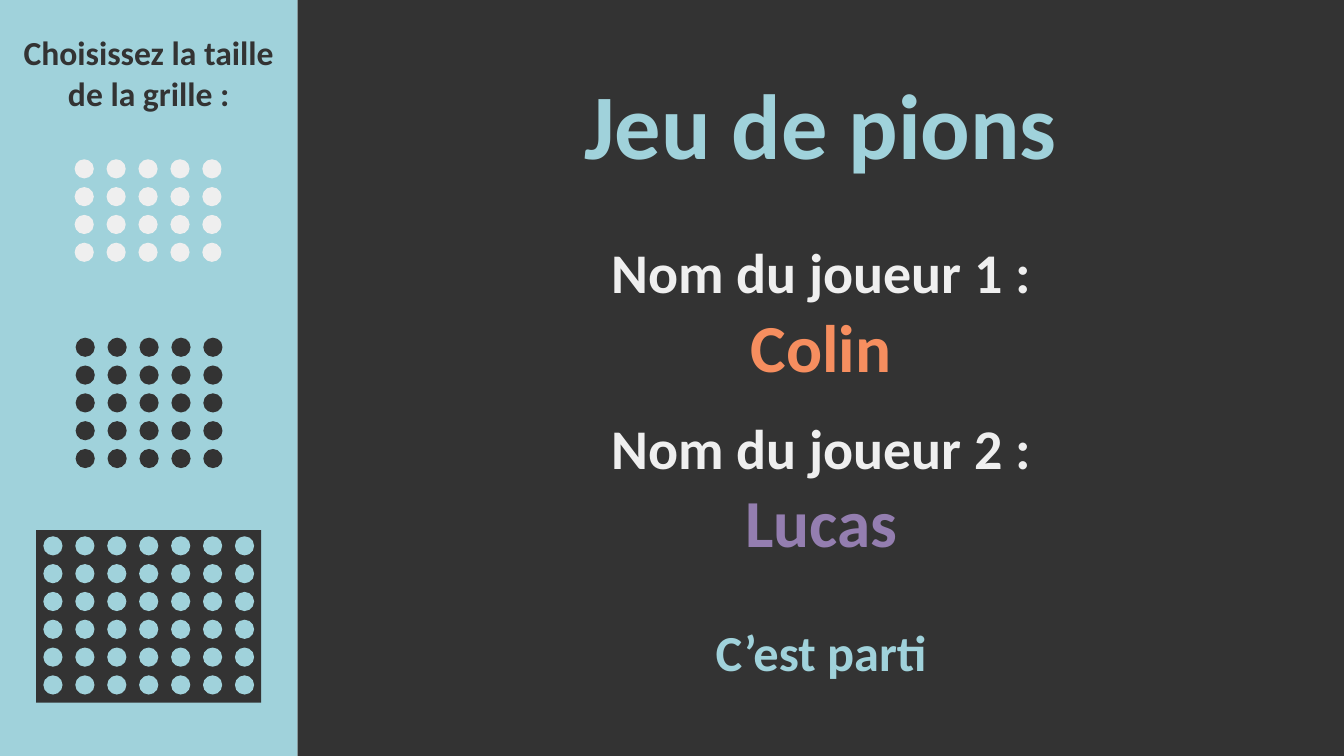
"""Build the start screen of a four-in-a-row game."""
import dataclasses

import pptx
import pptx.dml.color
import pptx.enum.shapes
import pptx.enum.text
import pptx.util

Inches = pptx.util.Inches
Kind = pptx.enum.shapes.MSO_SHAPE


@dataclasses.dataclass(frozen=True)
class Theme:
    """Colours, font and type sizes."""
    dark: str = "333333"
    sky: str = "A0D2DB"
    pale: str = "EFEFEF"
    coral: str = "F68E5F"
    plum: str = "947EB0"
    font: str = "Calibri"
    title: int = 66
    name: int = 48
    label: int = 40
    start: int = 36
    hint: int = 24


class Screen:
    """Draws styled elements on one slide."""

    dot = 0.19
    step_x = 1.9 / 6
    step_y = 1.38 / 5

    def __init__(self, slide, theme):
        """Keep the slide and its theme."""
        self.slide = slide
        self.theme = theme

    def shape(self, kind, box, fill, group=None):
        """Add a flat filled shape to the slide or a group."""
        shapes = (group or self.slide).shapes
        item = shapes.add_shape(kind, *map(Inches, box))
        item.shadow.inherit = False
        item.fill.solid()
        item.fill.fore_color.rgb = pptx.dml.color.RGBColor.from_string(fill)
        item.line.fill.background()

    def text(self, box, *lines):
        """Add centred bold lines given as text, size and colour."""
        frame = self.slide.shapes.add_textbox(*map(Inches, box)).text_frame
        frame.word_wrap = True
        frame.auto_size = pptx.enum.text.MSO_AUTO_SIZE.SHAPE_TO_FIT_TEXT
        for index, (words, size, color) in enumerate(lines):
            para = frame.add_paragraph() if index else frame.paragraphs[0]
            para.text = words
            para.alignment = pptx.enum.text.PP_ALIGN.CENTER
            para.font.name = self.theme.font
            para.font.size = pptx.util.Pt(size)
            para.font.bold = True
            para.font.color.rgb = pptx.dml.color.RGBColor.from_string(color)

    def board(self, box, first, cols, rows, back, fill):
        """Add a grouped panel with a grid of dots."""
        group = self.slide.shapes.add_group_shape()
        self.shape(Kind.RECTANGLE, box, back, group)
        left, top = first
        for row in range(rows):
            for col in range(cols):
                spot = (left + col * self.step_x, top + row * self.step_y,
                        self.dot, self.dot)
                self.shape(Kind.OVAL, spot, fill, group)


def main():
    """Build and save the slide."""
    deck = pptx.Presentation()
    deck.slide_width, deck.slide_height = Inches(13.33), Inches(7.5)
    look = Theme()
    page = Screen(deck.slides.add_slide(deck.slide_layouts[6]), look)

    page.shape(Kind.RECTANGLE, (2.95, 0, 10.38, 7.5), look.dark)
    page.text((4.81, 6.11, 6.67, 0.71), ("C’est parti", look.start, look.sky))
    page.shape(Kind.RECTANGLE, (0, 0, 2.95, 7.5), look.sky)

    page.board((0.68, 3.29, 1.6, 1.43), (0.75, 3.35), 5, 5, look.sky, look.dark)
    page.board((0.36, 5.26, 2.23, 1.71), (0.43, 5.32), 7, 6, look.dark, look.sky)
    page.board((0.68, 1.51, 1.6, 1.14), (0.74, 1.58), 5, 4, look.sky, look.pale)

    page.text((5.35, 0.62, 5.58, 1.21), ("Jeu de pions", look.title, look.sky))
    players = (("Colin", look.coral), ("Lucas", look.plum))
    for index, (name, color) in enumerate(players):
        page.text((3.87, 2.31 + 1.74 * index, 8.55, 1.58),
                  (f"Nom du joueur {index + 1} :", look.label, look.pale),
                  (name, look.name, color))
    page.text((0, 0.27, 2.95, 0.91),
              ("Choisissez la taille de la grille :", look.hint, look.dark))

    deck.save("out.pptx")


if __name__ == "__main__":
    main()
